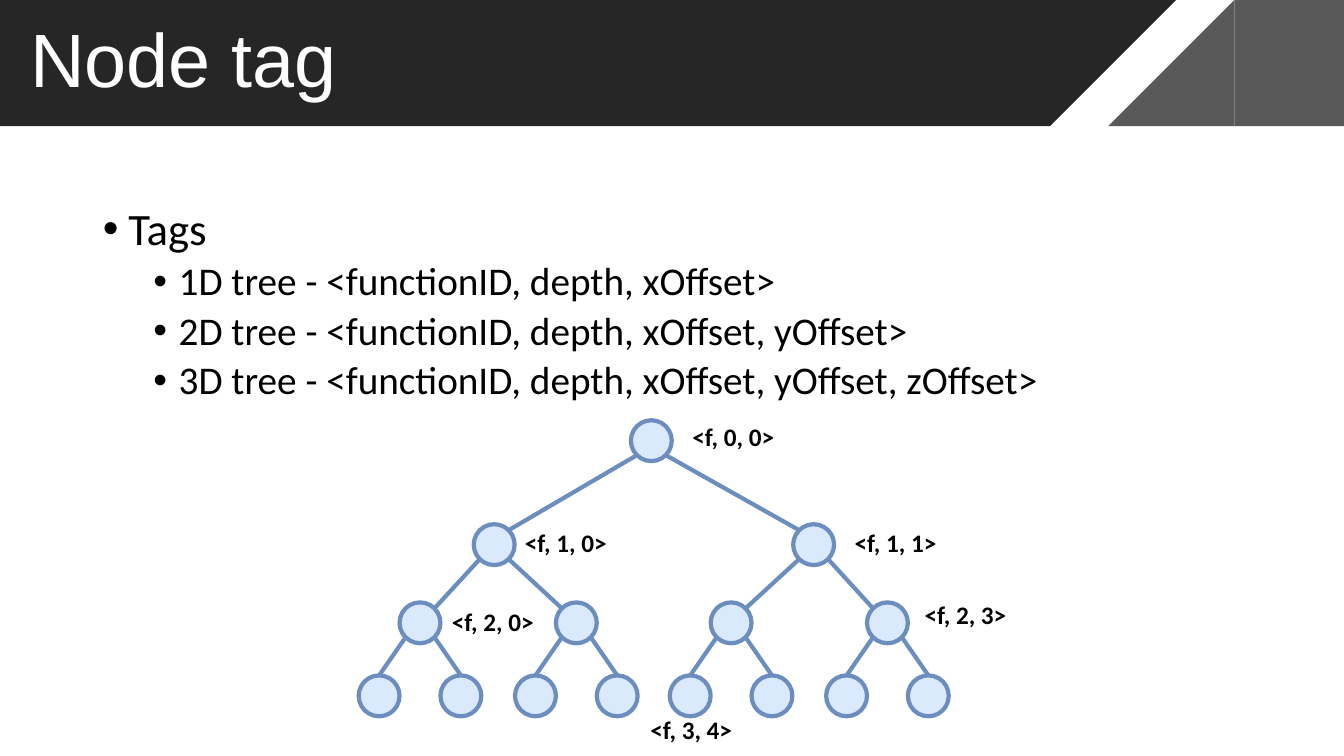
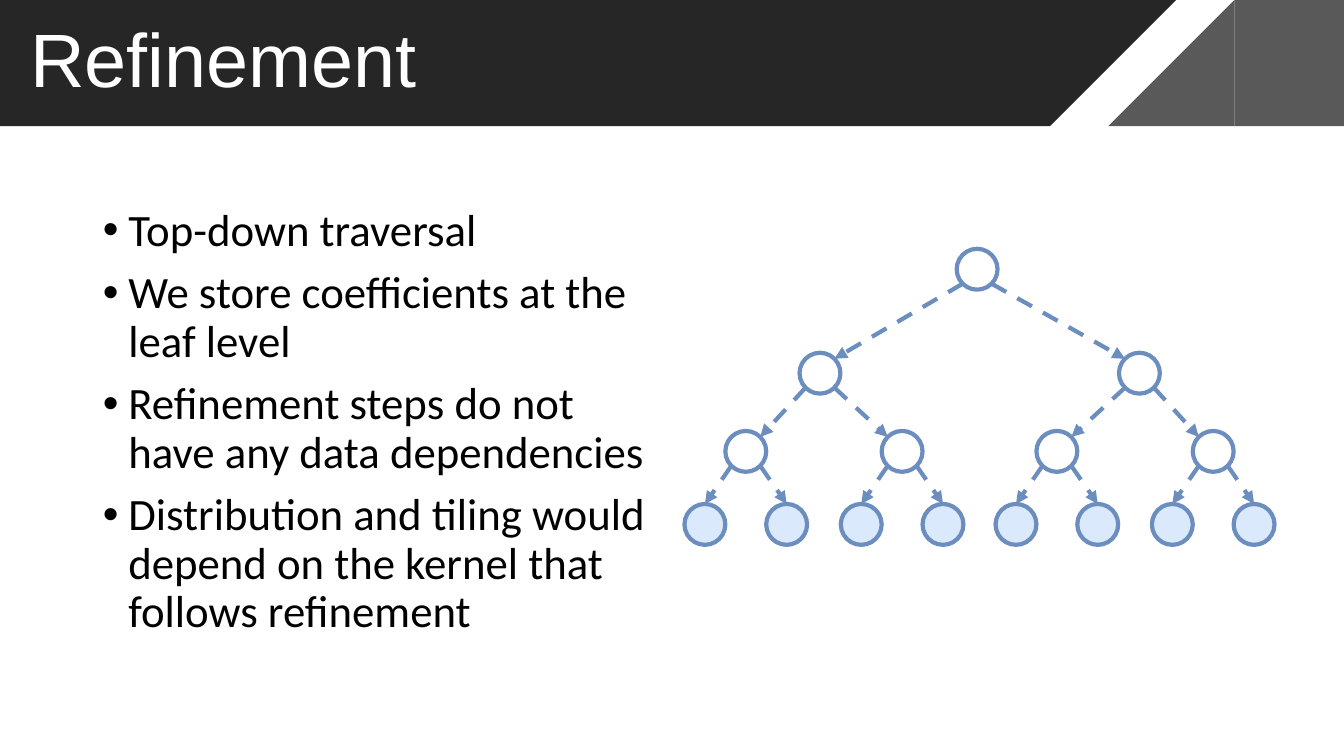
from math import sqrt

from lxml.etree import SubElement
from pptx import Presentation
from pptx.dml.color import RGBColor
from pptx.enum.dml import MSO_LINE
from pptx.enum.shapes import MSO_CONNECTOR, MSO_SHAPE
from pptx.enum.text import MSO_ANCHOR, MSO_AUTO_SIZE, PP_ALIGN
from pptx.oxml.ns import qn
from pptx.util import Cm, Pt

BLACK = RGBColor(0x00, 0x00, 0x00)
WHITE = RGBColor(0xFF, 0xFF, 0xFF)
BAND_DARK = RGBColor(0x26, 0x26, 0x26)
BAND_GREY = RGBColor(0x59, 0x59, 0x59)
NODE_FILL = RGBColor(0xDB, 0xE9, 0xFC)
NODE_LINE = RGBColor(0x6C, 0x8E, 0xBF)

SLIDE_WIDTH, SLIDE_HEIGHT = 33.87, 19.05
BAND_HEIGHT = 3.18
NODE_SIZE = 1.03
LABEL_WIDTH, LABEL_HEIGHT = 2.6, 1.02

# Left edges of the nodes at each depth, and the top of each depth, in cm
PAIR_LEFTS = (0, 3.94, 7.84, 11.78)
LEAF_GAP = 2.06
TREE_LEFTS = (
    (6.86,),
    (2.9, 10.95),
    tuple(left + LEAF_GAP / 2 for left in PAIR_LEFTS),
    tuple(left + step for left in PAIR_LEFTS for step in (0, LEAF_GAP)),
)
TREE_TOPS = (0, 2.62, 4.59, 6.43)
LEAF_DEPTH = len(TREE_TOPS) - 1

# (depth, index) of a labelled node: offset of its label from the node, in cm
TAG_OFFSETS = {
    (0, 0): (1.3, -0.1),
    (1, 0): (1.04, -0.05),
    (1, 1): (1.3, -0.05),
    (2, 3): (1.2, -0.2),
    (2, 0): (1.07, -0.03),
    (3, 4): (-0.74, 0.86),
}


def place(shape, left, top, width, height):
    shape.left, shape.top = Cm(left), Cm(top)
    shape.width, shape.height = Cm(width), Cm(height)


def write(paragraph, text, size, font="Calibri", color=BLACK, bold=False,
          line_spacing=None, space_before=0):
    paragraph.alignment = PP_ALIGN.LEFT
    paragraph.space_before = Pt(space_before)
    if line_spacing:
        paragraph.line_spacing = line_spacing
    run = paragraph.add_run()
    run.text = text
    run.font.name = font
    run.font.size = Pt(size)
    run.font.bold = bold
    run.font.color.rgb = color


def add_filled_shape(slide, kind, left, top, width, height, fill, line=None):
    shape = slide.shapes.add_shape(kind, Cm(left), Cm(top), Cm(width), Cm(height))
    shape.shadow.inherit = False
    shape.fill.solid()
    shape.fill.fore_color.rgb = fill
    if line is None:
        shape.line.fill.background()
    else:
        shape.line.color.rgb = line
        shape.line.width = Pt(3)
    return shape


def add_band_to_master(slide, master):
    """Draw the title band, then move it behind everything on the master."""
    dark_width, grey_left = 26.46, 31.11
    parts = [
        add_filled_shape(slide, MSO_SHAPE.RECTANGLE, 0, 0,
                         dark_width, BAND_HEIGHT, BAND_DARK),
        add_filled_shape(slide, MSO_SHAPE.RECTANGLE, grey_left, 0,
                         SLIDE_WIDTH - grey_left, BAND_HEIGHT, BAND_GREY),
    ]
    for left, color, rotation in ((dark_width, BAND_DARK, 180),
                                  (grey_left - BAND_HEIGHT, BAND_GREY, 0)):
        triangle = add_filled_shape(slide, MSO_SHAPE.ISOSCELES_TRIANGLE, left, 0,
                                    BAND_HEIGHT, BAND_HEIGHT, color)
        triangle.adjustments[0] = 1
        triangle.rotation = rotation
        parts.append(triangle)
    for position, part in enumerate(parts, start=2):
        master.shapes.element.insert(position, part.element)


def add_titled_slide(presentation, layout, title):
    slide = presentation.slides.add_slide(layout)
    frame = slide.shapes.title.text_frame
    frame.vertical_anchor = MSO_ANCHOR.MIDDLE
    frame.auto_size = MSO_AUTO_SIZE.NONE
    write(frame.paragraphs[0], title, 54, font="Arial", color=WHITE, line_spacing=0.9)
    return slide


def add_bullet(paragraph, level):
    paragraph.level = level
    properties = paragraph._p.get_or_add_pPr()
    properties.set("marL", str(Cm(0.64 + 1.27 * level)))
    properties.set("indent", str(Cm(-0.64)))
    SubElement(properties, qn("a:buFont")).set("typeface", "Arial")
    SubElement(properties, qn("a:buChar")).set("char", "•")


def fill_body(slide, box, items):
    """Fill the body placeholder with (level, text) items."""
    body = slide.placeholders[1]
    place(body, *box)
    frame = body.text_frame
    frame.auto_size = MSO_AUTO_SIZE.NONE
    for number, (level, text) in enumerate(items):
        paragraph = frame.add_paragraph() if number else frame.paragraphs[0]
        add_bullet(paragraph, level)
        space = (5 if level else 10) if number else 0
        write(paragraph, text, 28 if level else 32, line_spacing=0.9, space_before=space)


def add_edge(slide, start, end, arrow):
    edge = slide.shapes.add_connector(MSO_CONNECTOR.STRAIGHT,
                                      *(Cm(value) for value in (*start, *end)))
    edge.line.color.rgb = NODE_LINE
    edge.line.width = Pt(3)
    properties = edge.element.spPr
    if arrow:
        edge.line.dash_style = MSO_LINE.DASH
        SubElement(properties.find(qn("a:ln")), qn("a:tailEnd")).set("type", "triangle")
    SubElement(properties, qn("a:effectLst"))


def add_tree(slide, left, top, inner_fill, arrows=False):
    """Draw the binary tree and return the corner of each (depth, index) node."""
    corners = {(depth, index): (left + node_left, top + TREE_TOPS[depth])
               for depth, lefts in enumerate(TREE_LEFTS)
               for index, node_left in enumerate(lefts)}
    radius = NODE_SIZE / 2
    diagonal = radius / sqrt(2)
    for (depth, index), (x, y) in corners.items():
        fill = NODE_FILL if depth == LEAF_DEPTH else inner_fill
        add_filled_shape(slide, MSO_SHAPE.OVAL, x, y, NODE_SIZE, NODE_SIZE,
                         fill, NODE_LINE)
        if depth == 0:
            continue
        parent_x, parent_y = corners[depth - 1, index // 2]
        side = 1 if index % 2 else -1
        start = (parent_x + radius + side * diagonal, parent_y + radius + diagonal)
        if depth == LEAF_DEPTH:
            end = (x + radius, y)
        else:
            end = (x + radius - side * diagonal, y + radius - diagonal)
        add_edge(slide, start, end, arrows)
    return corners


def add_tags(slide, corners):
    for (depth, index), (right, down) in TAG_OFFSETS.items():
        x, y = corners[depth, index]
        label = slide.shapes.add_textbox(Cm(x + right), Cm(y + down),
                                         Cm(LABEL_WIDTH), Cm(LABEL_HEIGHT))
        label.text_frame.word_wrap = False
        write(label.text_frame.paragraphs[0], f"<f, {depth}, {index}>", 18, bold=True)


def build_node_tag(presentation, layout):
    slide = add_titled_slide(presentation, layout, "Node tag")
    fill_body(slide, (2.34, 5.08, 29.21, 5.36), [
        (0, "Tags"),
        (1, "1D tree - <functionID, depth, xOffset>"),
        (1, "2D tree - <functionID, depth, xOffset, yOffset>"),
        (1, "3D tree - <functionID, depth, xOffset, yOffset, zOffset>"),
    ])
    add_tags(slide, add_tree(slide, 9.04, 10.59, NODE_FILL))
    return slide


def build_refinement(presentation, layout):
    slide = add_titled_slide(presentation, layout, "Refinement")
    fill_body(slide, (2.34, 5.11, 14.43, 12.09), [
        (0, "Top-down traversal"),
        (0, "We store coefficients at the leaf level"),
        (0, "Refinement steps do not have any data dependencies"),
        (0, "Distribution and tiling would depend on the kernel that follows refinement"),
    ])
    add_tree(slide, 17.25, 6.27, WHITE, arrows=True)


def main():
    presentation = Presentation()
    presentation.slide_width = Cm(SLIDE_WIDTH)
    presentation.slide_height = Cm(SLIDE_HEIGHT)
    layout = presentation.slide_layouts[1]
    place(layout.placeholders[0], 0.51, 0, 27.43, BAND_HEIGHT)
    first_slide = build_node_tag(presentation, layout)
    add_band_to_master(first_slide, presentation.slide_master)
    build_refinement(presentation, layout)
    presentation.save("out.pptx")


if __name__ == "__main__":
    main()
